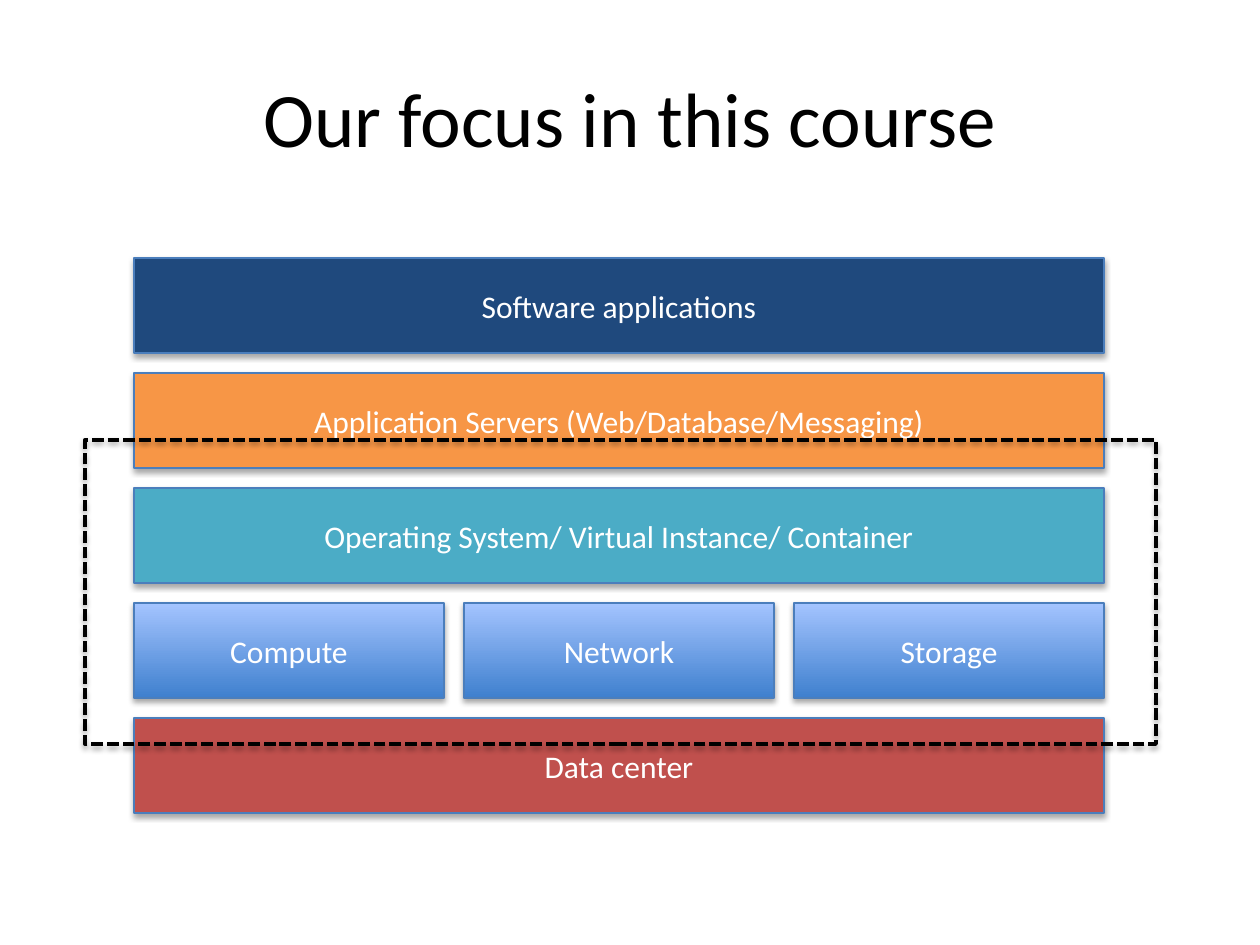
import dataclasses

import pptx
import pptx.dml.color
import pptx.enum.dml
import pptx.enum.shapes
import pptx.enum.text
import pptx.oxml
import pptx.oxml.ns
import pptx.util

PX_PER_INCH = 126


def px(length):
    return pptx.util.Emu(round(length * 914400 / PX_PER_INCH))


def rgb(value):
    return pptx.dml.color.RGBColor.from_string(value)


@dataclasses.dataclass(frozen=True)
class Theme:
    font: str = "Calibri"
    title_size: int = 44
    label_size: int = 18
    ink: str = "000000"
    label: str = "FFFFFF"
    border: str = "4B7EBC"
    software: str = "1F497D"
    servers: str = "F79646"
    system: str = "4BACC6"
    resources: tuple = ("3F80CE", "A4C4FF")  # bottom to top
    data_center: str = "C0504D"


class SlideBuilder:
    def __init__(self, page, theme):
        self.page = page
        self.theme = theme

    def set_text(self, shape, text, size, color):
        frame = shape.text_frame
        frame.word_wrap = True
        frame.vertical_anchor = pptx.enum.text.MSO_ANCHOR.MIDDLE
        para = frame.paragraphs[0]
        para.text = text
        para.alignment = pptx.enum.text.PP_ALIGN.CENTER
        para.font.name = self.theme.font
        para.font.size = pptx.util.Pt(size)
        para.font.color.rgb = rgb(color)

    def title(self, text, left, top, width, height):
        title = self.page.shapes.title
        title.left, title.top = px(left), px(top)
        title.width, title.height = px(width), px(height)
        self.set_text(title, text, self.theme.title_size, self.theme.ink)

    def rectangle(self, left, top, width, height, border, weight):
        box = self.page.shapes.add_shape(
            pptx.enum.shapes.MSO_SHAPE.RECTANGLE,
            px(left), px(top), px(width), px(height))
        box.line.color.rgb = rgb(border)
        box.line.width = pptx.util.Pt(weight)
        self.drop_shadow(box)
        return box

    def drop_shadow(self, box):
        box.shadow.inherit = False
        effects = box._element.spPr.find(pptx.oxml.ns.qn("a:effectLst"))
        effects.append(pptx.oxml.parse_xml(
            f'<a:outerShdw {pptx.oxml.ns.nsdecls("a")} blurRad="40000" dist="23000"'
            ' dir="5400000" rotWithShape="0"><a:srgbClr val="000000">'
            '<a:alpha val="35000"/></a:srgbClr></a:outerShdw>'))

    def layer(self, text, fill, left, top, width, height):
        box = self.rectangle(left, top, width, height, self.theme.border, 0.75)
        if isinstance(fill, tuple):
            box.fill.gradient()
            box.fill.gradient_angle = 90
            for stop, position, color in zip(box.fill.gradient_stops, (0, 1), fill):
                stop.position = position
                stop.color.rgb = rgb(color)
        else:
            box.fill.solid()
            box.fill.fore_color.rgb = rgb(fill)
        self.set_text(box, text, self.theme.label_size, self.theme.label)

    def focus_frame(self, left, top, width, height):
        box = self.rectangle(left, top, width, height, self.theme.ink, 2.25)
        box.fill.background()
        box.line.dash_style = pptx.enum.dml.MSO_LINE.SQUARE_DOT


def main():
    theme = Theme()
    deck = pptx.Presentation()
    deck.slide_width, deck.slide_height = px(1260), px(945)
    page = deck.slides.add_slide(deck.slide_layouts[5])
    builder = SlideBuilder(page, theme)

    builder.title("Our focus in this course", 63, 38, 1134, 158)

    # Technology stack, top to bottom
    stack = [
        (["Software applications"], theme.software),
        (["Application Servers (Web/Database/Messaging)"], theme.servers),
        (["Operating System/ Virtual Instance/ Container"], theme.system),
        (["Compute", "Network", "Storage"], theme.resources),
        (["Data center"], theme.data_center),
    ]
    left, top, width, height, pitch, gap = 134, 258, 970, 95, 115, 20
    for row, (labels, fill) in enumerate(stack):
        box_width = (width - gap * (len(labels) - 1)) // len(labels)
        for column, label in enumerate(labels):
            builder.layer(label, fill, left + column * (box_width + gap),
                          top + row * pitch, box_width, height)

    # Part of the stack that the course covers
    builder.focus_frame(85, 440, 1071, 304)

    deck.save("out.pptx")


if __name__ == "__main__":
    main()
